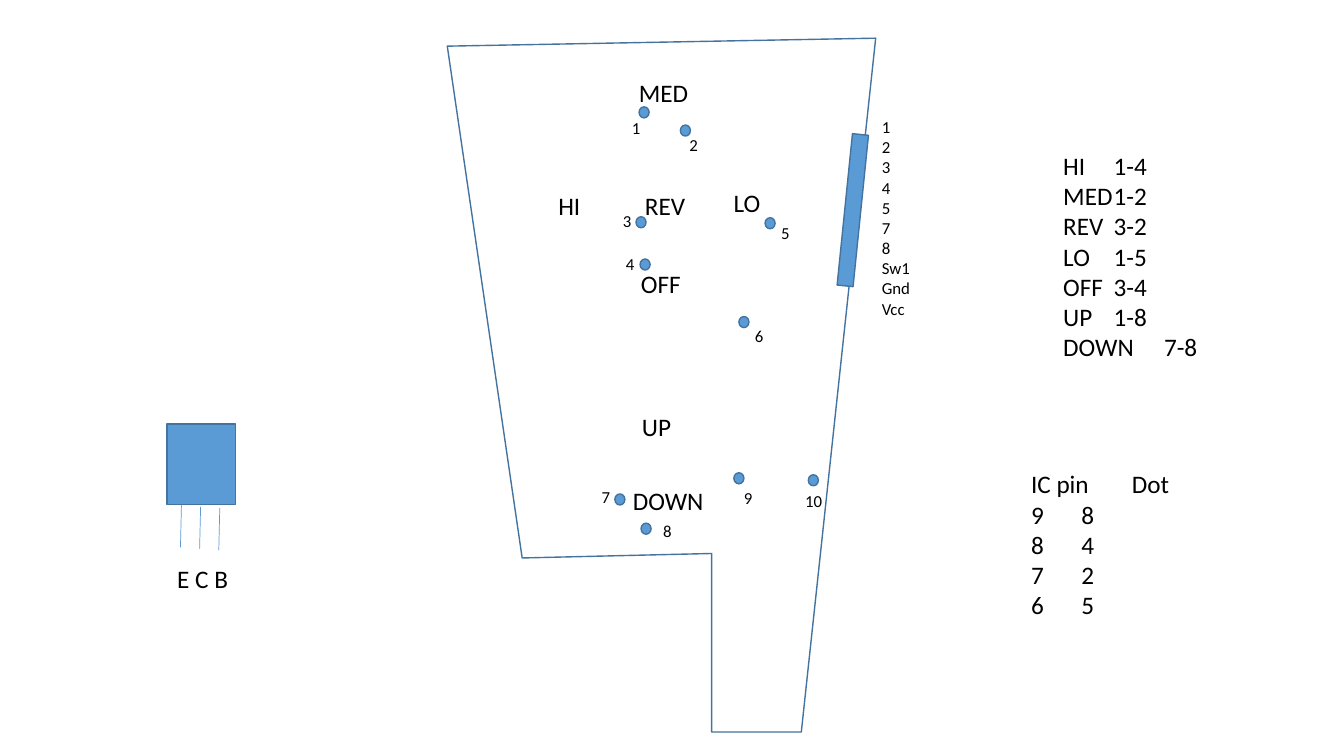
from dataclasses import dataclass

import pptx
import pptx.dml.color
import pptx.enum.shapes
import pptx.enum.text
import pptx.oxml.ns
import pptx.util
from lxml import etree

Pt = pptx.util.Pt
RGB = pptx.dml.color.RGBColor
Preset = pptx.enum.shapes.MSO_SHAPE


@dataclass(frozen=True)
class Theme:
    """Colours, font and sizes used across the slide."""
    fill: RGB = RGB(0x5B, 0x9B, 0xD5)
    outline: RGB = RGB(0x43, 0x73, 0x9E)
    ink: RGB = RGB(0, 0, 0)
    font: str = "Calibri"
    label_size: float = 18
    pin_size: float = 12
    outline_width: float = 1
    lead_width: float = 0.5


@dataclass(frozen=True)
class Label:
    """A block of text lines with its box in points."""
    lines: tuple[str, ...]
    left: float
    top: float
    width: float
    height: float = 28.8
    size: float = 18


@dataclass(frozen=True)
class Dot:
    """A numbered contact: the dot's corner and its number's corner."""
    number: int
    left: float
    top: float
    text_left: float
    text_top: float


THEME = Theme()
DOT_WIDTH, DOT_HEIGHT = 7.2, 7.9

BOARD_CORNERS = [(319.5, 33), (625.5, 27.3), (572.4, 522.9),
                 (508.3, 522.9), (508.3, 395.4), (373, 398.6)]

DOTS = [
    Dot(1, 456.5, 76.3, 444.2, 80.6),
    Dot(2, 486, 89.3, 485.3, 92.9),
    Dot(3, 454.3, 154.8, 437.8, 146.9),
    Dot(4, 457.2, 185, 439.9, 177.8),
    Dot(5, 546.5, 155.5, 550.8, 155.5),
    Dot(6, 527.8, 226.1, 532.1, 229),
    Dot(7, 439.2, 352.8, 422.6, 344.2),
    Dot(8, 457.9, 373.7, 466.6, 368.6),
    Dot(9, 524.2, 337.7, 524.2, 344.9),
    Dot(10, 577.4, 339.1, 568.1, 347),
]

SWITCH_LABELS = [
    Label(("HI",), 391.7, 132.5, 30.2),
    Label(("MED",), 449.3, 51.8, 50.4),
    Label(("LO",), 517, 130.3, 33.8),
    Label(("OFF",), 450.7, 187.9, 43.2),
    Label(("DOWN",), 445, 343.4, 65.5),
    Label(("UP",), 451.4, 290.2, 35.3),
    Label(("REV",), 453.6, 132.5, 43.9),
]

SWITCH_TABLE = Label(("HI\t1-4", "MED\t1-2", "REV\t3-2", "LO\t1-5", "OFF\t3-4",
                      "UP\t1-8", "DOWN\t7-8"), 752.4, 103.7, 110.9, 159.8)
PIN_TABLE = Label(("IC pin\tDot", "9\t8", "8\t4", "7\t2", "6\t5"),
                  729.4, 331.2, 114.5, 138.2)
TRANSISTOR_LEGS = Label(("E C B",), 119.5, 398.9, 51.1)
CONNECTOR_PINS = Label(("1", "2", "3", "4", "5", "7", "8", "Sw1", "Gnd", "Vcc"),
                       622.8, 79.9, 34.6, 152.6, THEME.pin_size)


def outline(shape) -> None:
    """Give a shape the thin dark outline and no shadow."""
    shape.shadow.inherit = False
    shape.line.color.rgb = THEME.outline
    shape.line.width = Pt(THEME.outline_width)


def add_part(slide, preset, left: float, top: float, width: float,
             height: float, rotation: float = 0) -> None:
    """Draw a filled preset shape."""
    part = slide.shapes.add_shape(preset, Pt(left), Pt(top), Pt(width), Pt(height))
    part.rotation = rotation
    part.fill.solid()
    part.fill.fore_color.rgb = THEME.fill
    outline(part)


def add_label(slide, label: Label) -> None:
    """Write a label, one paragraph per line."""
    box = slide.shapes.add_textbox(Pt(label.left), Pt(label.top),
                                   Pt(label.width), Pt(label.height))
    frame = box.text_frame
    frame.word_wrap = False
    frame.auto_size = pptx.enum.text.MSO_AUTO_SIZE.SHAPE_TO_FIT_TEXT
    for index, line in enumerate(label.lines):
        paragraph = frame.add_paragraph() if index else frame.paragraphs[0]
        run = paragraph.add_run()
        run.text = line
        run.font.name = THEME.font
        run.font.size = Pt(label.size)
        run.font.color.rgb = THEME.ink


def add_board(slide) -> None:
    """Draw the unfilled board outline."""
    (start_x, start_y), *others = BOARD_CORNERS
    builder = slide.shapes.build_freeform(Pt(start_x), Pt(start_y))
    builder.add_line_segments([(Pt(x), Pt(y)) for x, y in others], close=True)
    board = builder.convert_to_shape()
    board.fill.background()
    outline(board)


def add_dot(slide, dot: Dot) -> None:
    """Draw a contact dot with its number."""
    add_part(slide, Preset.OVAL, dot.left, dot.top, DOT_WIDTH, DOT_HEIGHT)
    number = str(dot.number)
    width = 20.9 if len(number) == 1 else 26.6
    add_label(slide, Label((number,), dot.text_left, dot.text_top,
                           width, 21.6, THEME.pin_size))


def add_lead(slide, left: float, top: float) -> None:
    """Draw one slightly slanted transistor lead."""
    lead = slide.shapes.add_connector(
        pptx.enum.shapes.MSO_CONNECTOR.STRAIGHT,
        Pt(left), Pt(top), Pt(left - 0.7), Pt(top + 30))
    lead.line.color.rgb = THEME.fill
    lead.line.width = Pt(THEME.lead_width)
    etree.SubElement(lead._element.spPr, pptx.oxml.ns.qn("a:effectLst"))


def add_transistor(slide) -> None:
    """Draw the transistor body, its three leads and their letters."""
    add_part(slide, Preset.RECTANGLE, 119.2, 302.8, 49, 57.6)
    for index in range(3):
        add_lead(slide, 129.6 + 13.7 * index, 361 + index)
    add_label(slide, TRANSISTOR_LEGS)


def main() -> None:
    """Build the slide and save it."""
    deck = pptx.Presentation()
    deck.slide_width, deck.slide_height = Pt(960), Pt(540)
    slide = deck.slides.add_slide(deck.slide_layouts[6])
    add_board(slide)
    for dot in DOTS:
        add_dot(slide, dot)
    for label in [*SWITCH_LABELS, SWITCH_TABLE, PIN_TABLE]:
        add_label(slide, label)
    add_transistor(slide)
    add_part(slide, Preset.RECTANGLE, 603.4, 95.8, 11.5, 108.7, rotation=5.8)
    add_label(slide, CONNECTOR_PINS)
    deck.save("out.pptx")


main()
